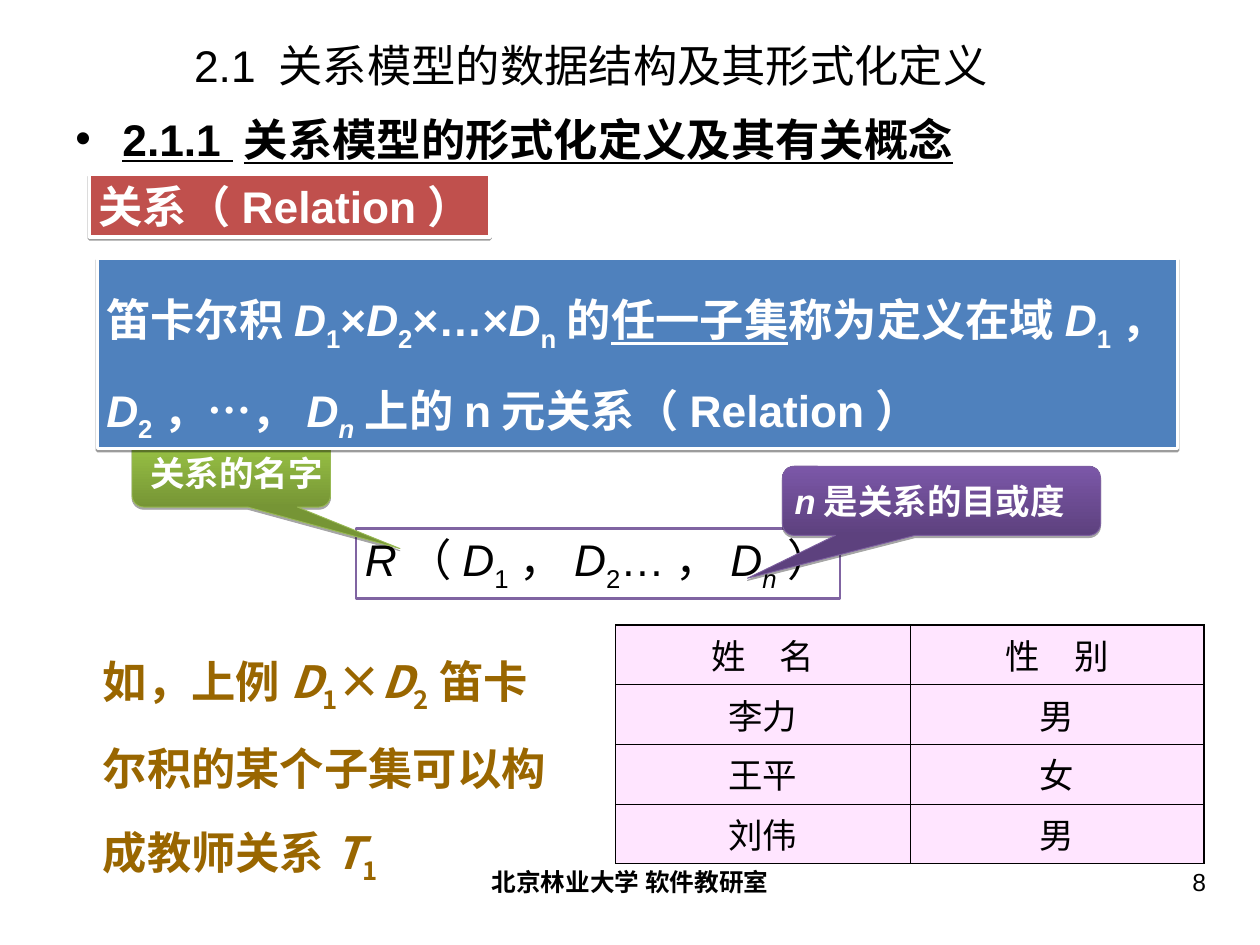
from lxml.etree import SubElement
from pptx import Presentation
from pptx.dml.color import RGBColor
from pptx.enum.shapes import MSO_SHAPE as Preset
from pptx.enum.text import MSO_ANCHOR as Anchor, MSO_AUTO_SIZE as AutoSize, PP_ALIGN as Align
from pptx.oxml.ns import qn
from pptx.util import Inches, Pt

WIDTH, HEIGHT = Inches(14.22), Inches(10.66)
LATIN, CHINESE = "Arial", "Noto Sans CJK SC"

BLACK = RGBColor(0x00, 0x00, 0x00)
WHITE = RGBColor(0xFF, 0xFF, 0xFF)
RED = RGBColor(0xC0, 0x50, 0x4D)
BLUE = RGBColor(0x4F, 0x81, 0xBD)
BROWN = RGBColor(0x99, 0x66, 0x00)
PINK = RGBColor(0xFF, 0xCC, 0xFF)
PURPLE = RGBColor(0x80, 0x64, 0xA2)
GREENS = (RGBColor(0x76, 0x95, 0x35), RGBColor(0x9C, 0xC7, 0x46))
GREEN_EDGE = RGBColor(0x98, 0xB9, 0x54)
PURPLES = (RGBColor(0x5D, 0x41, 0x7E), RGBColor(0x7B, 0x57, 0xA8))
PURPLE_EDGE = RGBColor(0x7D, 0x60, 0xA0)

WIDE_MARGINS = (0.14, 0.07, 0.14, 0.07)
BOX_MARGINS = (0.1, 0.05, 0, 0.05)
TEACHERS = [("姓　名", "性　别"), ("李力", "男"), ("王平", "女"), ("刘伟", "男")]


def area(left, top, width, height):
    return (int(WIDTH * left / 100), int(HEIGHT * top / 100),
            int(WIDTH * width / 100), int(HEIGHT * height / 100))


def apply(target, values):
    for name, value in values.items():
        setattr(target, name, value)


def domain(index, index_style="s"):
    return [("D", "i"), (index, index_style)]


def write(paragraph, parts, size, color, bold=False, font=LATIN, **layout):
    apply(paragraph, {"alignment": Align.LEFT, "space_before": Pt(0), **layout})
    for text, style in parts:
        run = paragraph.add_run()
        run.text = text
        apply(run.font, {"name": font, "size": Pt(size), "bold": bold,
                         "italic": "i" in style, "underline": "u" in style})
        run.font.color.rgb = color
        properties = run.font._element
        SubElement(properties, qn("a:ea")).set("typeface", CHINESE)
        if "s" in style:
            properties.set("baseline", "-25000")


def set_frame(frame, margins, anchor=Anchor.TOP):
    sides = ("margin_left", "margin_top", "margin_right", "margin_bottom")
    apply(frame, dict(zip(sides, map(Inches, margins))))
    apply(frame, {"word_wrap": True, "auto_size": AutoSize.NONE, "vertical_anchor": anchor})
    return frame.paragraphs[0]


def fill_placeholder(placeholder, place, text, style="", anchor=Anchor.TOP, **font):
    apply(placeholder, dict(zip(("left", "top", "width", "height"), place)))
    paragraph = set_frame(placeholder.text_frame, WIDE_MARGINS, anchor)
    write(paragraph, [(text, style)], 36, BLACK, **font)
    return paragraph


def add_text(slide, place, parts, size, color, **options):
    frame = slide.shapes.add_textbox(*place).text_frame
    write(set_frame(frame, WIDE_MARGINS), parts, size, color, **options)


def add_shadow(shape, opacity, distance):
    effects = shape._element.spPr.find(qn("a:effectLst"))
    shadow = SubElement(effects, qn("a:outerShdw"), blurRad="0", dist=str(Pt(distance)),
                        dir="5400000", rotWithShape="0")
    color = SubElement(shadow, qn("a:srgbClr"), val=str(BLACK))
    SubElement(color, qn("a:alpha"), val=str(opacity * 1000))


def add_outlined(slide, preset, place, edge, edge_width):
    shape = slide.shapes.add_shape(preset, *place)
    shape.shadow.inherit = False
    shape.line.color.rgb = edge
    shape.line.width = Pt(edge_width)
    return shape


def add_box(slide, place, parts, fill, edge, edge_width, color, **options):
    shape = add_outlined(slide, Preset.RECTANGLE, place, edge, edge_width)
    shape.fill.solid()
    shape.fill.fore_color.rgb = fill
    write(set_frame(shape.text_frame, BOX_MARGINS), parts, 36, color, **options)
    return shape


def add_callout(slide, place, parts, colors, edge, tip, indent):
    shape = add_outlined(slide, Preset.ROUNDED_RECTANGULAR_CALLOUT, place, edge, 0.75)
    for index, value in enumerate((*tip, 0.17)):
        shape.adjustments[index] = value
    shape.fill.gradient()
    shape.fill.gradient_angle = 90
    for stop, color in zip(shape.fill.gradient_stops, colors):
        stop.color.rgb = color
    add_shadow(shape, 35, 1.8)
    paragraph = set_frame(shape.text_frame, (indent, 0, 0, 0), Anchor.MIDDLE)
    write(paragraph, parts, 28, WHITE, bold=True)


def style_cell(cell, outer_sides):
    properties = cell._tc.get_or_add_tcPr()
    for side in "LRTB":
        width = 1.08 if side in outer_sides else 0.45
        line = SubElement(properties, qn(f"a:ln{side}"), w=str(Pt(width)))
        SubElement(SubElement(line, qn("a:solidFill")), qn("a:srgbClr"), val=str(BLACK))
    cell.fill.solid()
    cell.fill.fore_color.rgb = PINK
    SubElement(properties.find(qn("a:solidFill"))[0], qn("a:alpha"), val="50000")
    apply(cell, {"vertical_anchor": Anchor.MIDDLE,
                 "margin_top": Inches(0.05), "margin_bottom": Inches(0.05)})


def add_table(slide, place, rows):
    last_row, last_column = len(rows) - 1, len(rows[0]) - 1
    table = slide.shapes.add_table(len(rows), len(rows[0]), *place).table
    apply(table, {"first_row": False, "horz_banding": False})
    for row, values in enumerate(rows):
        for column, value in enumerate(values):
            cell = table.cell(row, column)
            edges = {"L": column == 0, "R": column == last_column,
                     "T": row == 0, "B": row == last_row}
            style_cell(cell, [side for side, outer in edges.items() if outer])
            write(cell.text_frame.paragraphs[0], [(value, "")], 28, BLACK,
                  font=CHINESE, alignment=Align.CENTER)


def main():
    presentation = Presentation()
    apply(presentation, {"slide_width": WIDTH, "slide_height": HEIGHT})
    slide = presentation.slides.add_slide(presentation.slide_layouts[1])

    title, body = slide.placeholders
    fill_placeholder(title, area(14.42, 4.22, 83.19, 5.35),
                     "2.1 关系模型的数据结构及其形式化定义", anchor=Anchor.MIDDLE)
    heading = fill_placeholder(body, area(5, 11.16, 90, 8.35),
                               "2.1.1 关系模型的形式化定义及其有关概念", "u", bold=True)
    indent = Inches(0.53)
    heading_properties = heading._p.get_or_add_pPr()
    heading_properties.set("marL", str(indent))
    heading_properties.set("indent", str(-indent))

    schema = [("R", "i"), ("（", ""), *domain("1"), ("，", ""), *domain("2"),
              ("…，", ""), *domain("n", "is"), ("）", "")]
    add_box(slide, area(28.27, 55.91, 38.4, 7.41), schema, WHITE, PURPLE, 2, BLACK)

    add_text(slide, area(34.18, 91.09, 31.65, 6.94), [("北京林业大学 软件教研室", "")],
             20, BLACK, bold=True, alignment=Align.CENTER)
    add_text(slide, area(71.66, 91.09, 25.04, 6.94), [("8", "")],
             20, BLACK, alignment=Align.RIGHT)

    add_callout(slide, area(10.48, 46.34, 15.75, 7.32), [("关系的名字", "")],
                GREENS, GREEN_EDGE, (0.85, 1.1), 0.17)
    add_callout(slide, area(62.1, 49.34, 25.25, 7.32), [("n", "i"), ("是关系的目或度", "")],
                PURPLES, PURPLE_EDGE, (-0.61, 1.12), 0.1)

    add_table(slide, area(48.87, 66.14, 46.69, 25.23), TEACHERS)

    example = [("如，上例", ""), *domain("1"), ("×", ""), *domain("2"),
               ("笛卡尔积的某个子集可以构成教师关系", ""), ("T", "i"), ("1", "s")]
    add_text(slide, area(7.17, 65.38, 39.03, 29), example, 36, BROWN,
             bold=True, font=CHINESE, line_spacing=1.5)

    relation = add_box(slide, area(7.1, 18.48, 31.79, 6.57), [("关系（Relation）", "")],
                       RED, WHITE, 3, WHITE, bold=True)
    definition = [("笛卡尔积", ""), *domain("1"), ("×", ""), *domain("2"), ("×…×", ""),
                  *domain("n"), ("的", ""), ("任一子集", "u"), ("称为定义在域", ""),
                  *domain("1"), ("，", ""), *domain("2"), ("，…，", ""),
                  *domain("n", "is"), ("上的n元关系（Relation）", "")]
    explanation = add_box(slide, area(7.74, 27.3, 85.72, 20.17), definition, BLUE, WHITE, 3,
                          WHITE, bold=True, line_spacing=1.5)
    for shape in (relation, explanation):
        add_shadow(shape, 38, 1.6)

    presentation.save("out.pptx")


if __name__ == "__main__":
    main()
